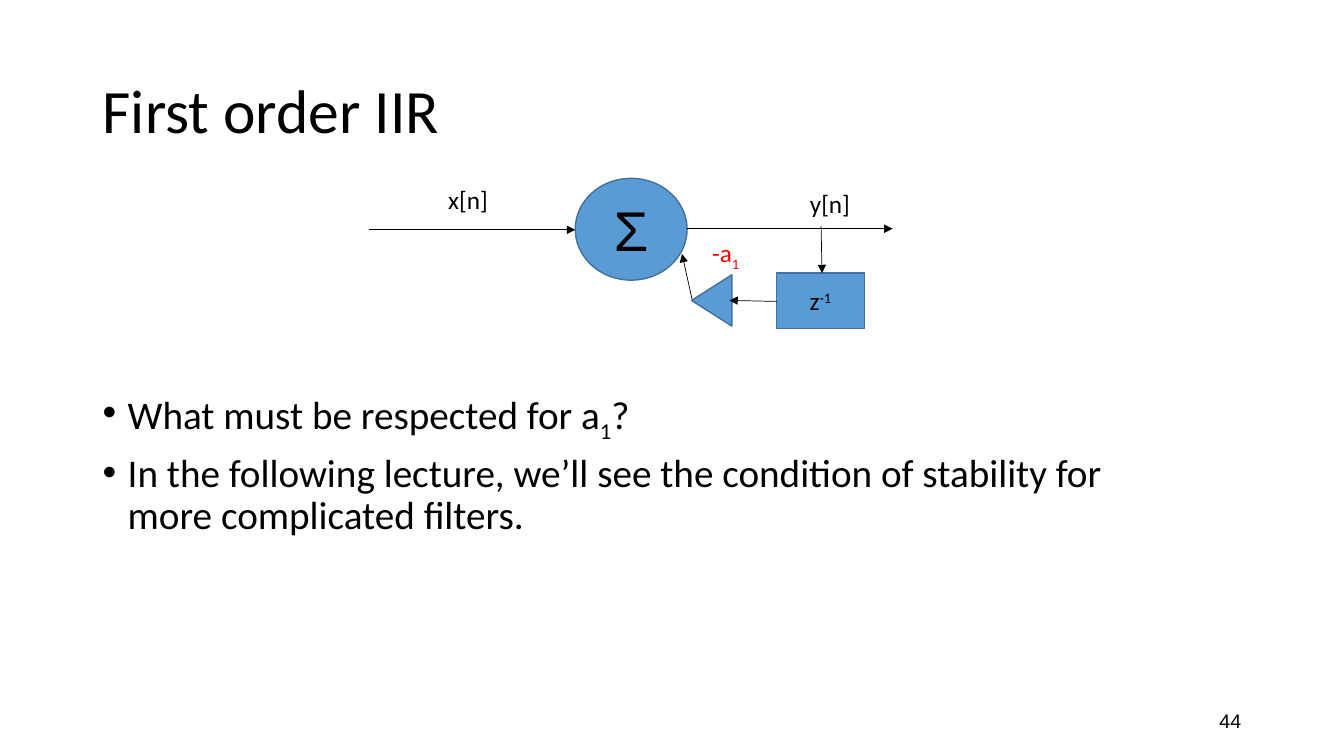
"""Build the slide on the first order IIR filter."""
from lxml import etree
from pptx import Presentation
from pptx.dml.color import RGBColor
from pptx.enum.shapes import MSO_CONNECTOR, MSO_SHAPE
from pptx.enum.text import MSO_ANCHOR, PP_ALIGN
from pptx.oxml.ns import qn
from pptx.util import Pt

LEFT, CENTER, RIGHT = PP_ALIGN.LEFT, PP_ALIGN.CENTER, PP_ALIGN.RIGHT
TOP, MIDDLE = MSO_ANCHOR.TOP, MSO_ANCHOR.MIDDLE
OVAL, RECTANGLE, TRIANGLE = MSO_SHAPE.OVAL, MSO_SHAPE.RECTANGLE, MSO_SHAPE.FLOWCHART_EXTRACT
STRAIGHT = MSO_CONNECTOR.STRAIGHT
BLACK, RED, BLUE, OUTLINE = "000000", "FF0000", "5B9BD5", "41719C"
SUBSCRIPT, SUPERSCRIPT = -25000, 30000

SLIDE_SIZE = (960.5, 540)
TITLE = "First order IIR"
TITLE_BOX = (66.2, 28.8, 828, 104.4)
BULLETS = [
    [("What must be respected for a", 0), ("1", SUBSCRIPT), ("?", 0)],
    [("In the following lecture, we’ll see the condition of stability for more complicated filters.", 0)],
]
BULLETS_BOX = (66.2, 275.8, 738, 206.6)
PAGE_NUMBER = "44"
PAGE_NUMBER_BOX = (678.2, 500.4, 216, 28.8)
LABELS = [
    ([("x[n]", 0)], (313.2, 128.2, 66.2, 28.8), BLACK),
    ([("y[n]", 0)], (571.7, 131, 66.2, 28.8), BLACK),
    ([("-a", 0), ("1", SUBSCRIPT)], (501.8, 166.3, 39.6, 31.7), RED),
]
BLOCKS = [
    (OVAL, (411.1, 127.4, 79.9, 72.7), 0, [("Σ", 0)], 40, "Arial"),
    (RECTANGLE, (555.1, 195.1, 62.6, 39.6), 0, [("z", 0), ("-1", SUPERSCRIPT)], 18, "Calibri"),
    (TRIANGLE, (490.3, 200.2, 36.7, 28.8), 270, [], 18, "Calibri"),
]
ARROWS = [
    ((263.5, 164.2), (411.1, 164.2)),
    ((491, 163.4), (637.9, 163.4)),
    ((555.1, 215.3), (521.3, 214.6)),
    ((494.6, 213.8), (487.4, 181.4)),
    ((586.8, 161.3), (587.5, 195.1)),
]


def color(value):
    return RGBColor.from_string(value)


def points(values):
    return [Pt(value) for value in values]


def add_bullet(paragraph, indent):
    properties = paragraph._p.get_or_add_pPr()
    properties.set("marL", str(Pt(indent)))
    properties.set("indent", str(-Pt(indent)))
    bullet_font = etree.SubElement(properties, qn("a:buFont"))
    bullet_font.set("typeface", "Arial")
    etree.SubElement(properties, qn("a:buChar")).set("char", "•")


def write(frame, paragraphs, size=18, font="Calibri", fill=BLACK, align=LEFT,
          anchor=TOP, spacing=1.0, gap=0, bullets=False):
    frame.word_wrap = True
    frame.vertical_anchor = anchor
    for index, pieces in enumerate(paragraphs):
        paragraph = frame.add_paragraph() if index else frame.paragraphs[0]
        paragraph.alignment = align
        paragraph.line_spacing = spacing
        paragraph.space_before = Pt(gap if index else 0)
        if bullets:
            add_bullet(paragraph, 18)
        for text, baseline in pieces:
            run = paragraph.add_run()
            run.text = text
            run.font.size = Pt(size)
            run.font.name = font
            run.font.color.rgb = color(fill)
            if baseline:
                run.font._element.set("baseline", str(baseline))


def add_text(slide, box, paragraphs, **text_format):
    write(slide.shapes.add_textbox(*points(box)).text_frame, paragraphs, **text_format)


def add_block(slide, kind, box, rotation, pieces, size, font):
    shape = slide.shapes.add_shape(kind, *points(box))
    shape.rotation = rotation
    shape.shadow.inherit = False
    shape.fill.solid()
    shape.fill.fore_color.rgb = color(BLUE)
    shape.line.color.rgb = color(OUTLINE)
    shape.line.width = Pt(1)
    if pieces:
        write(shape.text_frame, [pieces], size=size, font=font, align=CENTER, anchor=MIDDLE)


def add_arrow(slide, start, end):
    connector = slide.shapes.add_connector(STRAIGHT, *points(start + end))
    connector.line.color.rgb = color(BLACK)
    connector.line.width = Pt(0.5)
    head = etree.SubElement(connector.line._get_or_add_ln(), qn("a:tailEnd"))
    head.set("type", "triangle")
    etree.SubElement(connector._element.spPr, qn("a:effectLst"))


def main():
    presentation = Presentation()
    presentation.slide_width, presentation.slide_height = points(SLIDE_SIZE)
    slide = presentation.slides.add_slide(presentation.slide_layouts[5])

    title = slide.shapes.title
    title.left, title.top, title.width, title.height = points(TITLE_BOX)
    write(title.text_frame, [[(TITLE, 0)]], size=44, anchor=MIDDLE, spacing=0.9)

    add_text(slide, BULLETS_BOX, BULLETS, size=28, spacing=0.9, gap=10, bullets=True)
    add_text(slide, PAGE_NUMBER_BOX, [[(PAGE_NUMBER, 0)]], size=14, font="Arial",
             align=RIGHT, anchor=MIDDLE)
    for block in BLOCKS:
        add_block(slide, *block)
    for start, end in ARROWS:
        add_arrow(slide, start, end)
    for pieces, box, fill in LABELS:
        add_text(slide, box, [pieces], fill=fill)

    presentation.save("out.pptx")


if __name__ == "__main__":
    main()
